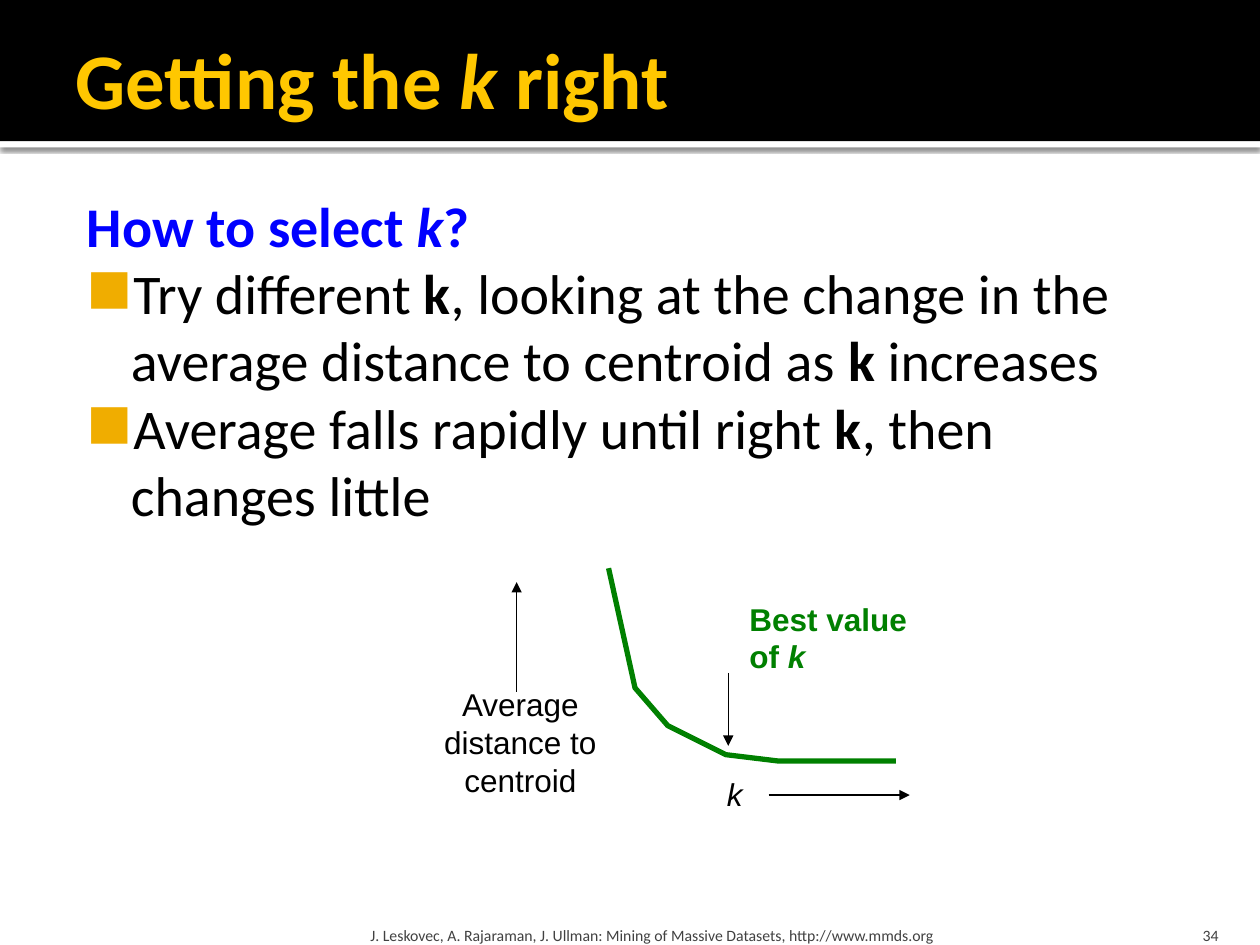
from dataclasses import dataclass

from lxml.etree import SubElement
from pptx import Presentation
from pptx.dml.color import RGBColor
from pptx.enum.shapes import MSO_CONNECTOR, MSO_SHAPE
from pptx.enum.text import MSO_ANCHOR, MSO_AUTO_SIZE, PP_ALIGN
from pptx.oxml.ns import qn
from pptx.util import Pt


@dataclass(frozen=True)
class Theme:
    black: str = "000000"
    white: str = "FFFFFF"
    gold: str = "FFC700"
    bullet: str = "F0AD00"
    blue: str = "0000FF"
    green: str = "008000"
    grey: str = "414141"
    main_font: str = "Calibri"
    diagram_font: str = "Arial"
    title_size: float = 45
    body_size: float = 32
    label_size: float = 18
    footer_size: float = 9


THEME = Theme()
BOLD = {"bold": True}
ITALIC = {"italic": True}


def rgb(color):
    return RGBColor.from_string(color)


def place(shape, box):
    shape.left, shape.top, shape.width, shape.height = map(Pt, box)


def write(shape, paragraphs, *, size, color, font=THEME.main_font, bold=False,
          align=PP_ALIGN.LEFT, anchor=MSO_ANCHOR.TOP,
          insets=(7.2, 3.6, 7.2, 3.6)):
    """Fill a shape with paragraphs, each a list of (text, overrides) runs."""
    frame = shape.text_frame
    frame.word_wrap = True
    frame.auto_size = MSO_AUTO_SIZE.NONE
    frame.vertical_anchor = anchor
    (frame.margin_left, frame.margin_top,
     frame.margin_right, frame.margin_bottom) = map(Pt, insets)
    for index, runs in enumerate(paragraphs):
        paragraph = frame.add_paragraph() if index else frame.paragraphs[0]
        paragraph.alignment = align
        for text, overrides in runs:
            look = {"bold": bold, "italic": False, "color": color, **overrides}
            run = paragraph.add_run()
            run.text = text
            run.font.name = font
            run.font.size = Pt(size)
            run.font.bold = look["bold"]
            run.font.italic = look["italic"]
            run.font.color.rgb = rgb(look["color"])
    return frame


def add_text(slide, box, paragraphs, **style):
    return write(slide.shapes.add_textbox(*map(Pt, box)), paragraphs, **style)


def indent(paragraph, left, first=0, bullet=None):
    properties = paragraph._p.get_or_add_pPr()
    properties.set("marL", str(Pt(left)))
    properties.set("indent", str(Pt(first)))
    if bullet:
        color = SubElement(properties, qn("a:buClr"))
        SubElement(color, qn("a:srgbClr"), val=THEME.bullet)
        SubElement(properties, qn("a:buChar"), char=bullet)


def add_band(slide, box, color):
    band = slide.shapes.add_shape(MSO_SHAPE.RECTANGLE, *map(Pt, box))
    band.shadow.inherit = False
    band.fill.solid()
    band.fill.fore_color.rgb = rgb(color)
    band.line.fill.background()
    return band


def cast_shadow(shape):
    effects = shape._element.spPr.find(qn("a:effectLst"))
    shadow = SubElement(effects, qn("a:outerShdw"), blurRad=str(Pt(2.5)),
                        dist=str(Pt(0.8)), dir="5400000", rotWithShape="0")
    color = SubElement(shadow, qn("a:srgbClr"), val=THEME.black)
    SubElement(color, qn("a:alpha"), val="60000")


def add_arrow(slide, start, end):
    arrow = slide.shapes.add_connector(MSO_CONNECTOR.STRAIGHT,
                                       *map(Pt, start + end))
    arrow.line.color.rgb = rgb(THEME.black)
    arrow.line.width = Pt(0.75)
    SubElement(arrow.line._get_or_add_ln(), qn("a:tailEnd"), type="triangle")
    SubElement(arrow._element.spPr, qn("a:effectLst"))


def add_curve(slide, points):
    start, *rest = [(Pt(x), Pt(y)) for x, y in points]
    builder = slide.shapes.build_freeform(*start)
    builder.add_line_segments(rest, close=False)
    curve = builder.convert_to_shape()
    curve.shadow.inherit = False
    curve.fill.background()
    curve.line.color.rgb = rgb(THEME.green)
    curve.line.width = Pt(3)


def add_header(slide):
    cast_shadow(add_band(slide, (0, 80.64, 720, 3.6), THEME.white))
    add_band(slide, (0, 0, 720, 80.64), THEME.black)
    title = slide.shapes.title
    slide.shapes._spTree.append(title._element)  # in front of the bands
    place(title, (36, 5.76, 648, 77.76))
    write(title, [[("Getting the ", {}), ("k", ITALIC), (" right", {})]],
          size=THEME.title_size, color=THEME.gold, bold=True,
          anchor=MSO_ANCHOR.MIDDLE, insets=(7.2, 3.6, 3.6, 3.6))


def add_body(slide):
    question = {"bold": True, "color": THEME.blue}
    body = add_text(slide, (36, 102.24, 648, 414), [
        [("How to select ", question), ("k", question | ITALIC),
         ("?", question)],
        [("Try different ", {}), ("k", BOLD),
         (", looking at the change in the average distance to centroid as ", {}),
         ("k", BOLD), (" increases", {})],
        [("Average falls rapidly until right ", {}), ("k", BOLD),
         (", then changes little", {})],
    ], size=THEME.body_size, color=THEME.black, insets=(4.32, 7.2, 7.2, 3.6))
    heading, *points = body.paragraphs
    indent(heading, 9.36)
    for point in points:
        indent(point, 34.56, -25.2, bullet="◼")


def add_diagram(slide):
    label = {"size": THEME.label_size, "font": THEME.diagram_font}
    add_text(slide, (408.24, 439.2, 23.76, 28.8), [[("k", ITALIC)]],
             color=THEME.black, **label)
    add_text(slide, (246.24, 388.08, 102.24, 72.72),
             [[(line, {})] for line in ("Average", "distance to", "centroid")],
             color=THEME.black, align=PP_ALIGN.CENTER, **label)
    add_text(slide, (421.2, 339.12, 105.12, 51.12),
             [[("Best value", {})], [("of ", {}), ("k", ITALIC)]],
             color=THEME.green, bold=True, **label)
    add_arrow(slide, (295.2, 395.28), (295.2, 332.64))
    add_arrow(slide, (439.2, 454.32), (519.84, 454.32))
    add_arrow(slide, (416.16, 384.48), (416.16, 426.24))
    add_curve(slide, [(347.76, 324.72), (362.88, 393.12), (381.6, 414.72),
                      (414.72, 431.28), (444.24, 434.88), (487.44, 434.88),
                      (511.92, 434.88)])


def add_footer(slide):
    style = {"size": THEME.footer_size, "color": THEME.grey,
             "anchor": MSO_ANCHOR.BOTTOM}
    add_text(slide, (645.84, 518.4, 57.6, 21.6), [[("34", {})]],
             align=PP_ALIGN.RIGHT, insets=(7.2, 3.6, 7.2, 0), **style)
    credit = ("J. Leskovec, A. Rajaraman, J. Ullman: "
              "Mining of Massive Datasets, http://www.mmds.org")
    add_text(slide, (208.08, 518.4, 433.44, 21.6), [[(credit, {})]],
             insets=(3.6, 3.6, 3.6, 0), **style)


def main():
    deck = Presentation()
    deck.slide_width, deck.slide_height = Pt(720), Pt(540)
    slide = deck.slides.add_slide(deck.slide_layouts.get_by_name("Title Only"))
    add_header(slide)
    add_body(slide)
    add_diagram(slide)
    add_footer(slide)
    deck.save("out.pptx")


if __name__ == "__main__":
    main()
